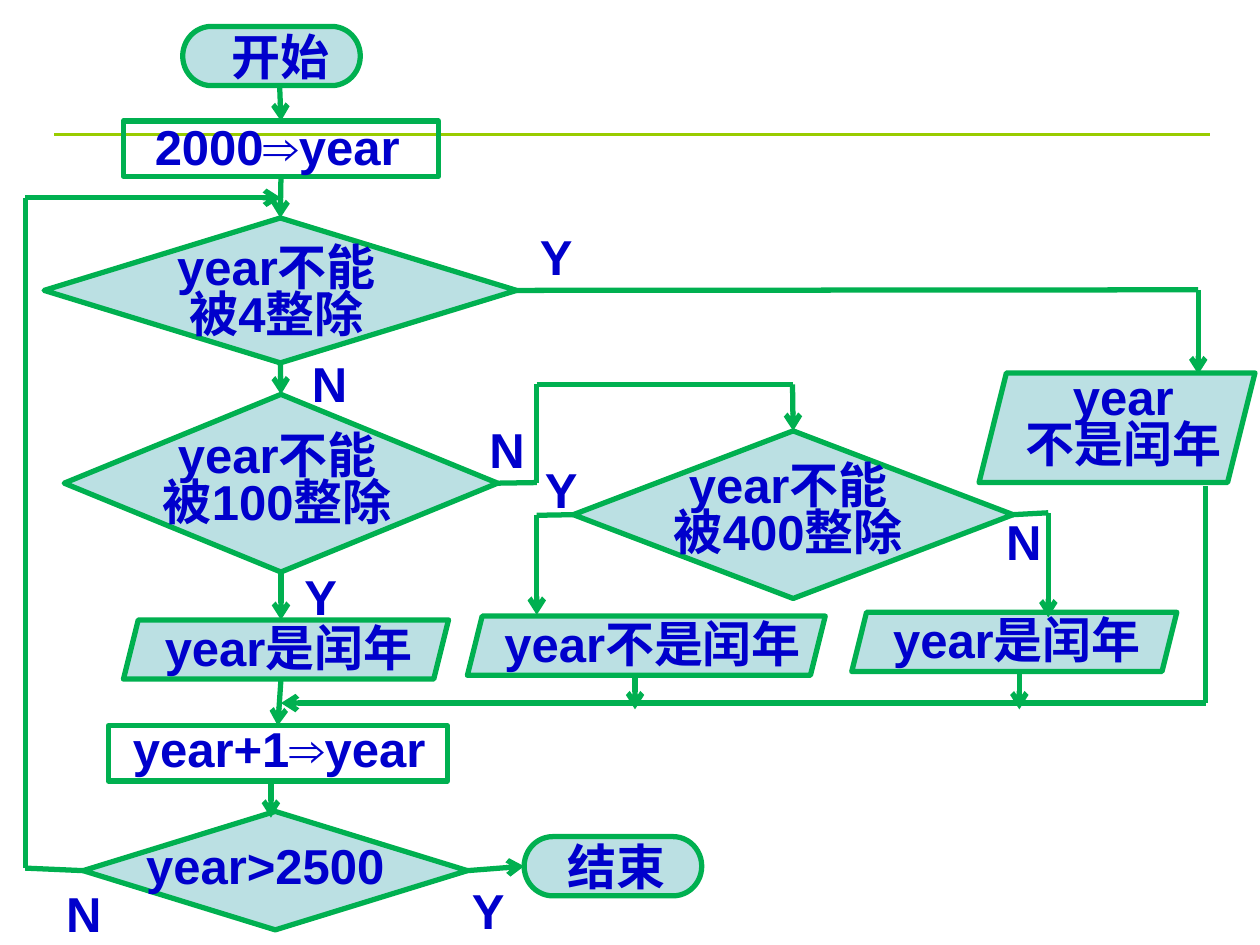
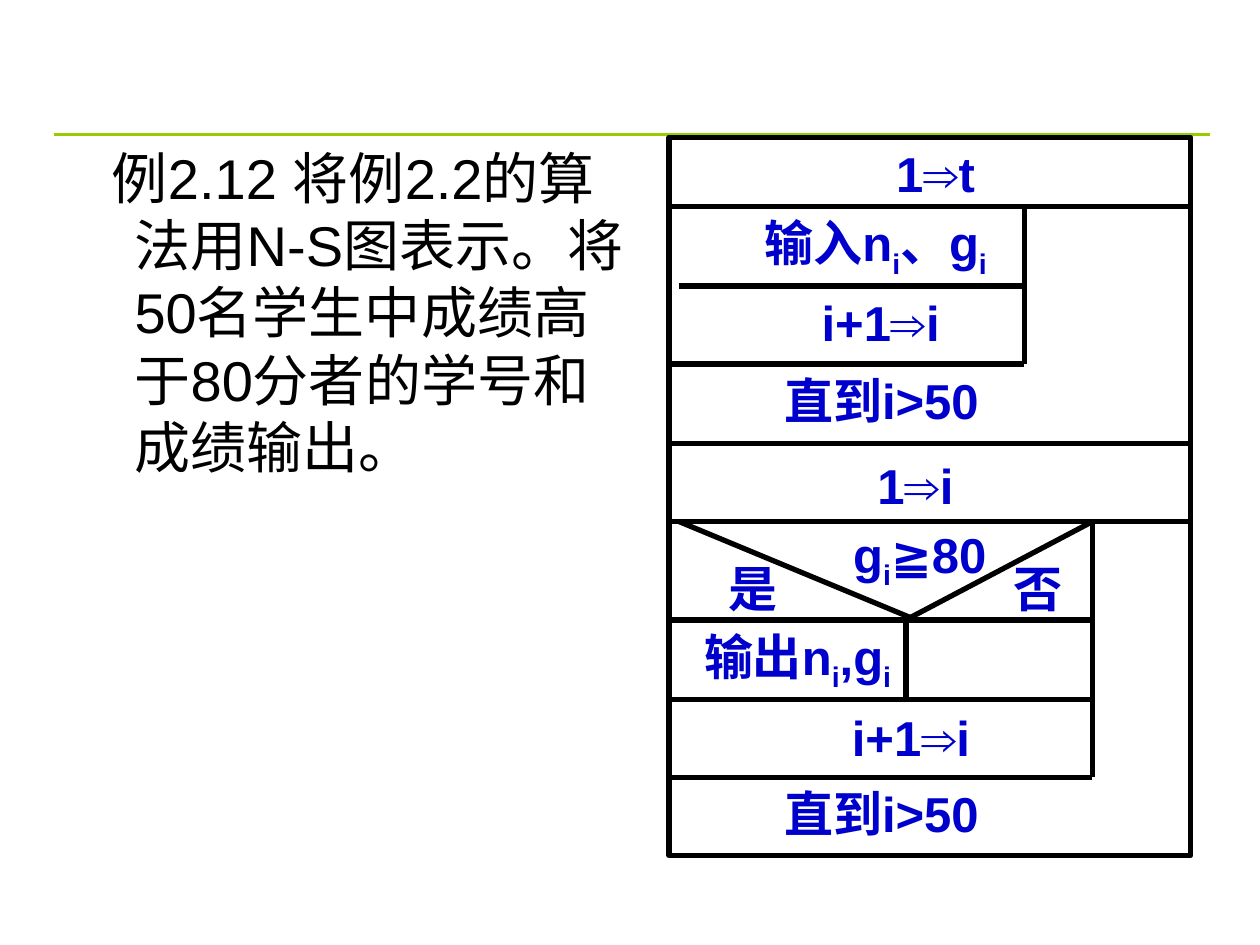
from dataclasses import dataclass
from typing import Any

from lxml import etree
from pptx import Presentation
from pptx.dml.color import RGBColor
from pptx.enum.shapes import MSO_CONNECTOR, MSO_SHAPE
from pptx.enum.text import MSO_ANCHOR, MSO_AUTO_SIZE, PP_ALIGN
from pptx.oxml.ns import qn
from pptx.util import Inches, Pt

STRAIGHT = MSO_CONNECTOR.STRAIGHT
TERMINATOR = MSO_SHAPE.FLOWCHART_TERMINATOR
DECISION = MSO_SHAPE.FLOWCHART_DECISION
OUTPUT = MSO_SHAPE.PARALLELOGRAM
RECT = MSO_SHAPE.RECTANGLE
PROCESS = MSO_SHAPE.FLOWCHART_PROCESS
CENTER, LEFT = PP_ALIGN.CENTER, PP_ALIGN.LEFT
MIDDLE = MSO_ANCHOR.MIDDLE
FIT = MSO_AUTO_SIZE.SHAPE_TO_FIT_TEXT
TOP_SITE, LEFT_SITE, BOTTOM_SITE, RIGHT_SITE = range(4)

COLORS = {"rule": "99CC00", "flow": "00B050", "node": "BBE0E3",
          "label": "0000CC", "ink": "000000"}
LABEL = {"name": "Arial", "size": Pt(28), "bold": True}
BODY = {"name": "Arial", "size": Pt(32), "bold": False}
ROW_H = 0.57


def rgb(name):
    return RGBColor.from_string(COLORS[name])


def write(p, text, style=LABEL, color="label"):
    for i, part in enumerate(text.split("_")):
        pieces = [(part, False)] if i == 0 else [(part[0], True), (part[1:], False)]
        for piece, is_sub in pieces:
            if not piece:
                continue
            r = p.add_run()
            r.text = piece
            for key, value in style.items():
                setattr(r.font, key, value)
            r.font.color.rgb = rgb(color)
            if is_sub:
                r._r.get_or_add_rPr().set("baseline", "-25000")


@dataclass
class Region:
    shapes: Any
    left: float
    top: float

    def place(self, x, y):
        return Inches(self.left + x), Inches(self.top + y)

    def shape(self, kind, x, y, w, h, color, fill=None):
        sp = self.shapes.add_shape(kind, *self.place(x, y), Inches(w), Inches(h))
        sp.shadow.inherit = False
        sp.line.color.rgb = rgb(color)
        sp.line.width = Pt(3)
        if fill:
            sp.fill.solid()
            sp.fill.fore_color.rgb = rgb(fill)
        else:
            sp.fill.background()
        return sp

    def text(self, x, y, w, h, lines, spacing=None):
        tb = self.shapes.add_textbox(*self.place(x, y), Inches(w), Inches(h))
        tf = tb.text_frame
        tf.word_wrap = True
        tf.auto_size = FIT
        for i, line in enumerate(lines):
            p = tf.add_paragraph() if i else tf.paragraphs[0]
            p.alignment = CENTER
            if spacing:
                p.line_spacing = spacing
            write(p, line)
        return tb

    def cell(self, x, y, w, h, text):
        tf = self.text(x, y, w, h, [text]).text_frame
        tf.auto_size = MSO_AUTO_SIZE.NONE
        tf.vertical_anchor = MIDDLE
        tf.margin_left = tf.margin_right = tf.margin_top = tf.margin_bottom = 0

    def line(self, start, end, color, width=3, arrow=False):
        c = self.shapes.add_connector(STRAIGHT, *self.place(*start), *self.place(*end))
        c.line.color.rgb = rgb(color)
        c.line.width = Pt(width)
        if arrow:
            etree.SubElement(c.line._get_or_add_ln(), qn("a:tailEnd"), type="arrow")
        etree.SubElement(c._element.spPr, qn("a:effectLst"))
        return c


def new_slide(prs):
    s = prs.slides.add_slide(prs.slide_layouts[6])
    Region(s.shapes, 0, 0).line((0.43, 1.07), (9.6, 1.07), "rule", 1.5)
    return s


def add_node(region, kind, box, lines, text_w, shift):
    x, y, w, h = box
    part = Region(region.shapes.add_group_shape().shapes, region.left, region.top)
    sp = part.shape(kind, *box, "flow", None if kind == RECT else "node")
    tight = kind == DECISION or len(lines) > 1
    text_h = 0.1 + 0.375 * len(lines) if tight else ROW_H
    dx, dy = shift
    part.text(x + (w - text_w) / 2 + dx, y + (h - text_h) / 2 + dy,
              text_w, text_h, lines, Pt(27) if tight else None)
    return sp


def add_route(region, nodes, stops):
    for i, (start, end) in enumerate(zip(stops, stops[1:])):
        ends = [(0, 0) if isinstance(stop[0], str) else stop for stop in (start, end)]
        c = region.line(*ends, "flow", arrow=i == len(stops) - 2)
        for stop, join in ((start, c.begin_connect), (end, c.end_connect)):
            if isinstance(stop[0], str):
                join(nodes[stop[0]], stop[1])


def leap_year_flowchart(s, left, top):
    region = Region(s.shapes, left, top)
    specs = {
        "start": (TERMINATOR, (1.45, 0.21, 1.41, 0.47), ["开始"], 1.02, (0.07, 0)),
        "init": (RECT, (0.98, 0.96, 2.5, 0.44), ["2000⇒year"], 2.27, (-0.03, -0.02)),
        "by_4": (DECISION, (0.35, 1.73, 3.75, 1.15), ["year不能", "被4整除"], 2.27, (-0.03, 0.04)),
        "by_100": (DECISION, (0.51, 3.13, 3.44, 1.41), ["year不能", "被100整除"], 2.27, (-0.03, 0)),
        "by_400": (DECISION, (4.55, 3.42, 3.49, 1.33), ["year不能", "被400整除"], 2.27, (-0.04, -0.01)),
        "leap_100": (OUTPUT, (0.98, 4.92, 2.58, 0.47), ["year是闰年"], 2.42, (0.02, -0.02)),
        "common_400": (OUTPUT, (3.71, 4.89, 2.84, 0.47), ["year不是闰年"], 2.73, (0.05, -0.02)),
        "leap_400": (OUTPUT, (6.76, 4.86, 2.58, 0.47), ["year是闰年"], 2.42, (0.02, -0.02)),
        "common_4": (OUTPUT, (7.77, 2.96, 2.19, 0.87), ["year", "不是闰年"], 1.8, (0.05, -0.02)),
        "next": (RECT, (0.86, 5.76, 2.69, 0.44), ["year+1⇒year"], 2.89, (0.01, -0.04)),
        "done": (DECISION, (0.66, 6.44, 3.05, 0.94), ["year>2500"], 2.27, (-0.08, 0)),
        "end": (TERMINATOR, (4.16, 6.64, 1.41, 0.47), ["结束"], 1.02, (0.03, 0)),
    }
    nodes = {name: add_node(region, *spec) for name, spec in specs.items()}

    merge_x, merge_y, loop_x, branch_x = 2.23, 5.58, 0.2, 4.26
    routes = [
        [(2.22, 0.69), ("init", TOP_SITE)],
        [("init", BOTTOM_SITE), ("by_4", TOP_SITE)],
        [("by_4", BOTTOM_SITE), ("by_100", TOP_SITE)],
        [("by_100", BOTTOM_SITE), (merge_x, 4.92)],
        [(merge_x, 5.39), ("next", TOP_SITE)],
        [(2.15, 6.18), (2.15, 6.49)],
        [("done", RIGHT_SITE), ("end", LEFT_SITE)],
        [("done", LEFT_SITE), (loop_x, 6.89), (loop_x, 1.57), (merge_x, 1.57)],
        [("by_4", RIGHT_SITE), (9.51, 2.3), (9.51, 2.97)],
        [("by_100", RIGHT_SITE), (branch_x, 3.83), (branch_x, 3.05),
         (6.29, 3.05), ("by_400", TOP_SITE)],
        [("by_400", LEFT_SITE), (branch_x, 4.09), (branch_x, 4.88)],
        [("by_400", RIGHT_SITE), (8.32, 4.07), (8.32, 4.9)],
        [(9.57, 3.86), (9.57, merge_y), (merge_x, merge_y)],
        [(5.04, 5.34), (5.04, 5.63)],
        [(8.09, 5.34), (8.09, 5.63)],
    ]
    for stops in routes:
        add_route(region, nodes, stops)

    answers = {"Y": [(2.23, 4.45), (3.56, 6.94), (4.1, 1.75), (4.14, 3.6)],
               "N": [(0.35, 6.96), (2.3, 2.76), (3.71, 3.28), (7.81, 4.01)]}
    for answer, spots in answers.items():
        for x, y in spots:
            region.text(x, y, 0.63, ROW_H, [answer])


def example_text(s, left, top, width, height):
    tb = s.shapes.add_textbox(*map(Inches, (left, top, width, height)))
    tf = tb.text_frame
    tf.word_wrap = True
    p = tf.paragraphs[0]
    p.alignment = LEFT
    pPr = p._p.get_or_add_pPr()
    pPr.set("marL", str(Inches(0.38)))
    pPr.set("indent", str(Inches(-0.18)))
    write(p, "例2.12 将例2.2的算法用N-S图表示。将50名学生中成绩高于80分者的学号和成绩输出。",
          BODY, "ink")


def ns_diagram(s, left, top, width, height):
    region = Region(s.shapes, left, top)
    region.shape(PROCESS, 0, 0, width, height, "ink")

    read, step, until, reset, test, output, advance, finish = (
        0.55, 1.18, 1.8, 2.43, 3.05, 3.83, 4.46, 5.08)
    input_w, loop_w, split_x = 2.82, 3.36, 1.88

    rows = [(read, width), (until, input_w), (reset, width), (test, width),
            (output, loop_w), (advance, loop_w), (finish, loop_w)]
    lines = [((0, y), (w, y)) for y, w in rows]
    lines += [
        ((0.08, step), (input_w, step)),
        ((input_w, read), (input_w, until)),
        ((loop_w, test), (loop_w, finish)),
        ((0.08, test), (1.96, output)),
        ((loop_w, test), (split_x, output)),
        ((split_x, output), (split_x, advance)),
    ]
    for start, end in lines:
        region.line(start, end, "ink")

    labels = [
        ("1⇒t", 1.57, 0, 1.09), ("i+1⇒i", 0.94, step, 1.48),
        ("直到i>50", 0.63, until, 2.11), ("1⇒i", 1.41, 2.48, 1.09),
        ("g_i≧80", 1.25, 3.02, 1.48), ("是", 0.24, 3.29, 0.86),
        ("否", 2.5, 3.29, 0.86), ("i+1⇒i", 1.18, 4.48, 1.48),
        ("直到i>50", 0.63, finish, 2.11),
    ]
    for text, x, y, w in labels:
        region.text(x, y, w, ROW_H, [text])
    region.cell(0.39, read, 2.5, step - read, "输入n_i、g_i")
    region.cell(-0.15, output, 2.34, advance - output, "输出n_i,g_i")


def main():
    prs = Presentation()
    prs.slide_width, prs.slide_height = Inches(10), Inches(7.5)
    leap_year_flowchart(new_slide(prs), 0, 0)
    s = new_slide(prs)
    example_text(s, 0.59, 1.09, 4.57, 5.6)
    ns_diagram(s, 5.31, 1.09, 4.14, 5.7)
    prs.save("out.pptx")


if __name__ == "__main__":
    main()
